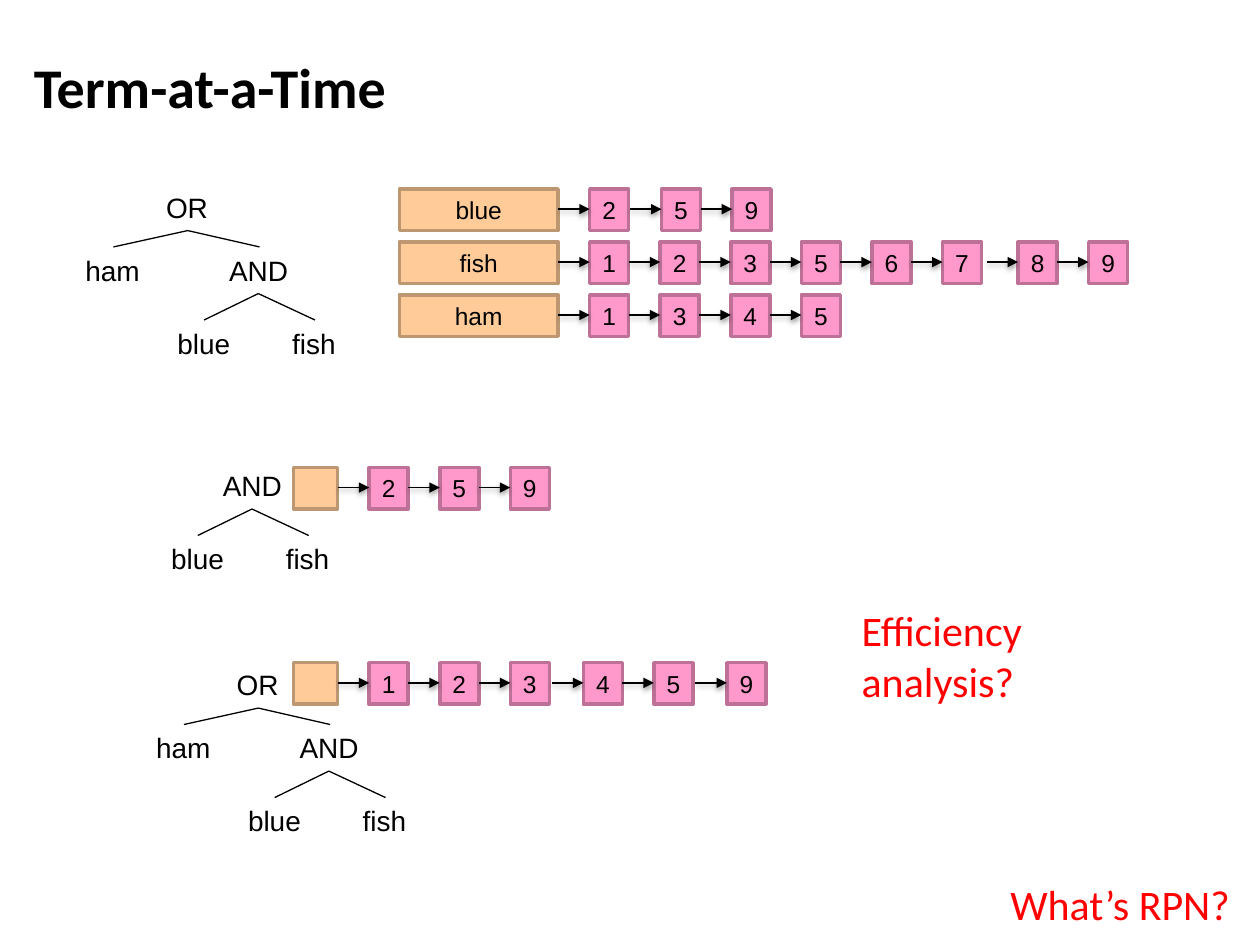
from dataclasses import dataclass, field

from lxml import etree
from pptx import Presentation
from pptx import util as u
from pptx.dml.color import RGBColor
from pptx.enum import shapes, text
from pptx.oxml.ns import qn

EMU_PER_PX = 9144  # 100 px to the inch
COLORS = {
    "ink": "000000",
    "question": "FF0000",
    "term": "FFCC99",
    "term_edge": "BD9771",
    "posting": "FF99CC",
    "posting_edge": "BD7197",
}
CELL_WIDTH, CELL_HEIGHT = 31, 33
PITCH, ARROW_LENGTH = 56, 25
LABEL_HEIGHT = 37
LABEL_WIDTHS = {"OR": 54, "AND": 67, "ham": 64, "blue": 62, "fish": 55}


@dataclass(frozen=True)
class Branch:
    """A child's label offset and edge end, from the parent label's corner."""
    word: str
    dx: int
    dy: int
    edge_dx: int


@dataclass(frozen=True)
class PostingList:
    term: str
    left: int
    top: int
    width: int
    postings: list[int]
    extra_gaps: dict[int, int] = field(default_factory=dict)


@dataclass(frozen=True)
class Caption:
    words: str
    box: tuple[int, int, int, int]
    size: int
    color: str
    bold: bool = False
    wrap: bool = True


BRANCHES = {
    "OR": [Branch("ham", -64, 50, -32), Branch("AND", 50, 50, 84)],
    "AND": [Branch("blue", -41, 58, -10), Branch("fish", 50, 58, 78)],
}
INDEX = [
    PostingList("blue", 317, 150, 126, [2, 5, 9], {1: 1}),
    PostingList("fish", 317, 192, 126, [1, 2, 3, 5, 6, 7, 8, 9], {6: 4}),
    PostingList("ham", 317, 234, 126, [1, 3, 4, 5]),
]
# Root operator, its label corner, and the postings it yields
STEPS = [
    ("AND", 167, 367, PostingList("", 233, 371, 35, [2, 5, 9])),
    ("OR", 178, 525, PostingList("", 233, 526, 35, [1, 2, 3, 4, 5, 9], {3: 2, 5: 2})),
]
CAPTIONS = [
    Caption("Term-at-a-Time", (17, 12, 950, 112), 32, "ink", bold=True),
    Caption("What’s RPN?", (792, 692, 200, 50), 24, "question", wrap=False),
    Caption("Efficiency analysis?", (674, 475, 268, 50), 24, "question"),
]


def px(*lengths: int) -> list[u.Emu]:
    return [u.Emu(length * EMU_PER_PX) for length in lengths]


def rgb(name: str) -> RGBColor:
    return RGBColor.from_string(COLORS[name])


def add_run(paragraph, words: str, size: int, face: str, color: str = "ink",
            bold: bool = False) -> None:
    run = paragraph.add_run()
    run.text = words
    run.font.size, run.font.name, run.font.bold = u.Pt(size), face, bold
    run.font.color.rgb = rgb(color)


def add_line(container, start: tuple[int, int], end: tuple[int, int], arrow: bool = False) -> None:
    """Draw a plain tree edge, or a shadowed arrow between cells."""
    line = container.add_connector(shapes.MSO_CONNECTOR.STRAIGHT, *px(*start, *end))
    line.line.color.rgb = rgb("ink")
    line.line.width = u.Pt(0.75)
    properties = line._element.spPr
    effects = etree.SubElement(properties, qn("a:effectLst"))
    if arrow:
        etree.SubElement(properties.find(qn("a:ln")), qn("a:tailEnd"), type="triangle")
        shadow = etree.SubElement(effects, qn("a:outerShdw"), blurRad=str(u.Pt(3.1)),
                                  dist=str(u.Pt(1.6)), dir="5400000", rotWithShape="0")
        color = etree.SubElement(shadow, qn("a:srgbClr"), val=COLORS["ink"])
        etree.SubElement(color, qn("a:alpha"), val="38000")


def add_cell(container, left: int, top: int, width: int, words: str, kind: str) -> None:
    cell = container.add_shape(shapes.MSO_SHAPE.RECTANGLE, *px(left, top, width, CELL_HEIGHT))
    cell.shadow.inherit = False
    cell.fill.solid()
    cell.fill.fore_color.rgb = rgb(kind)
    cell.line.color.rgb = rgb(f"{kind}_edge")
    cell.line.width = u.Pt(2)
    if words:
        frame = cell.text_frame
        frame.word_wrap = False
        frame.vertical_anchor = text.MSO_ANCHOR.MIDDLE
        frame.paragraphs[0].alignment = text.PP_ALIGN.CENTER
        add_run(frame.paragraphs[0], words, 14, "Arial")


def add_posting_list(container, row: PostingList) -> None:
    add_cell(container, row.left, row.top, row.width, row.term, "term")
    left = row.left + row.width + ARROW_LENGTH
    middle = row.top + CELL_HEIGHT // 2
    for position, posting in enumerate(row.postings):
        left += row.extra_gaps.get(position, 0)
        add_cell(container, left, row.top, CELL_WIDTH, str(posting), "posting")
        add_line(container, (left - ARROW_LENGTH, middle), (left, middle), arrow=True)
        left += PITCH


def add_tree(container, word: str, left: int, top: int) -> None:
    """Draw a query operator or term, then everything below it."""
    width = LABEL_WIDTHS[word]
    label = container.add_textbox(*px(left, top, width, LABEL_HEIGHT))
    label.text_frame.word_wrap = False
    label.text_frame.auto_size = text.MSO_AUTO_SIZE.SHAPE_TO_FIT_TEXT
    add_run(label.text_frame.paragraphs[0], word, 16, "Arial")
    for branch in BRANCHES.get(word, []):
        add_line(container, (left + width // 2, top + LABEL_HEIGHT),
                 (left + branch.edge_dx, top + branch.dy))
        add_tree(container, branch.word, left + branch.dx, top + branch.dy)


def add_caption(container, caption: Caption) -> None:
    frame = container.add_textbox(*px(*caption.box)).text_frame
    frame.word_wrap = caption.wrap
    if caption.bold:
        frame.vertical_anchor = text.MSO_ANCHOR.MIDDLE
    else:
        frame.auto_size = text.MSO_AUTO_SIZE.SHAPE_TO_FIT_TEXT
    add_run(frame.paragraphs[0], caption.words, caption.size, "Calibri",
            caption.color, caption.bold)


def main() -> None:
    deck = Presentation()
    deck.slide_width, deck.slide_height = px(1000, 750)
    canvas = deck.slides.add_slide(deck.slide_layouts[6]).shapes

    title, *questions = CAPTIONS
    add_caption(canvas, title)
    add_tree(canvas.add_group_shape().shapes, "OR", 122, 146)
    for row in INDEX:
        add_posting_list(canvas, row)
    for operator, left, top, result in STEPS:
        step = canvas.add_group_shape().shapes
        add_tree(step, operator, left, top)
        add_posting_list(step, result)
    for question in questions:
        add_caption(canvas, question)

    deck.save("out.pptx")


if __name__ == "__main__":
    main()
